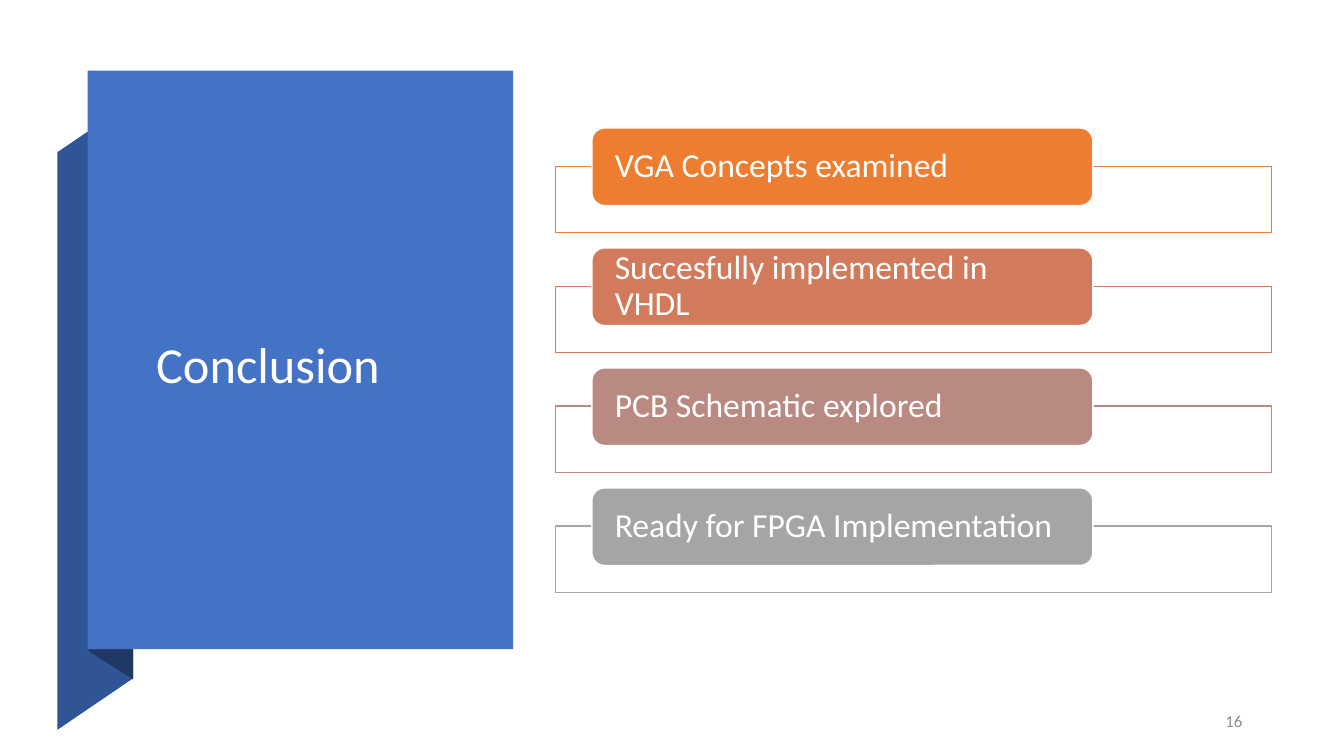
from pptx import Presentation
from pptx import util as u
from pptx.dml.color import RGBColor
from pptx.enum import shapes, text

THEME = {
    "font": "Calibri",
    "white": "FFFFFF", "panel": "4472C4", "ribbon": "2F5597", "fold": "203864",
    "number": "8C8C8C",
    "title_size": 36, "item_size": 24, "number_size": 12,
}
ITEMS = [
    ("VGA Concepts examined", "ED7D31"),
    ("Succesfully implemented in VHDL", "D17B5C"),
    ("PCB Schematic explored", "B98A82"),
    ("Ready for FPGA Implementation", "A5A5A5"),
]


def paint(sp, fill, line=None):
    """Give a shape a solid fill, an optional 1 pt outline and no shadow."""
    sp.shadow.inherit = False
    sp.fill.solid()
    sp.fill.fore_color.rgb = RGBColor.from_string(fill)
    if line:
        sp.line.color.rgb = RGBColor.from_string(line)
        sp.line.width = u.Pt(1)
    else:
        sp.line.fill.background()


def write(sp, words, *, size, color=THEME["white"], align=text.PP_ALIGN.LEFT,
          spacing=1.0, inset=0.1, inset_y=0.05):
    """Put one vertically centred paragraph into a shape."""
    tf = sp.text_frame
    tf.word_wrap = True
    tf.vertical_anchor = text.MSO_ANCHOR.MIDDLE
    tf.margin_left = tf.margin_right = u.Inches(inset)
    tf.margin_top = tf.margin_bottom = u.Inches(inset_y)
    p = tf.paragraphs[0]
    p.alignment = align
    p.line_spacing = spacing
    r = p.add_run()
    r.text = words
    r.font.name = THEME["font"]
    r.font.size = u.Pt(size)
    r.font.color.rgb = RGBColor.from_string(color)


prs = Presentation()
prs.slide_width, prs.slide_height = u.Inches(13.33), u.Inches(7.5)
s = prs.slides.add_slide(prs.slide_layouts[6])

# Folded ribbon behind the title panel
ribbon = [(0.57, 7.24), (1.32, 6.73), (1.32, 1), (0.57, 1.51)]
fold = [(0.88, 6.46), (1.32, 6.74), (1.32, 0.99), (0.88, 0.7)]
for points, color in ((ribbon, THEME["ribbon"]), (fold, THEME["fold"])):
    corners = [(u.Inches(x), u.Inches(y)) for x, y in points]
    outline = s.shapes.build_freeform(*corners[0])
    outline.add_line_segments(corners[1:], close=True)
    paint(outline.convert_to_shape(), color)

panel = s.shapes.add_shape(shapes.MSO_SHAPE.RECTANGLE, u.Inches(0.87),
                           u.Inches(0.7), u.Inches(4.22), u.Inches(5.74))
paint(panel, THEME["panel"])
title = s.shapes.add_textbox(u.Inches(1.45), u.Inches(1.67),
                             u.Inches(3.01), u.Inches(3.94))
write(title, "Conclusion", size=THEME["title_size"], spacing=0.9)

# Conclusions: an outlined box with a label over its top edge
for i, (words, color) in enumerate(ITEMS):
    top = 1.27 + i * 1.19
    box = s.shapes.add_shape(shapes.MSO_SHAPE.RECTANGLE, u.Inches(5.51),
                             u.Inches(top + 0.38), u.Inches(7.1), u.Inches(0.66))
    paint(box, THEME["white"], color)
    label = s.shapes.add_shape(shapes.MSO_SHAPE.ROUNDED_RECTANGLE, u.Inches(5.87),
                               u.Inches(top), u.Inches(4.97), u.Inches(0.77))
    paint(label, color, THEME["white"])
    write(label, words, size=THEME["item_size"], spacing=0.9,
          inset=0.19, inset_y=0)

number = s.shapes.add_textbox(u.Inches(9.42), u.Inches(6.95),
                              u.Inches(3), u.Inches(0.4))
write(number, "16", size=THEME["number_size"], color=THEME["number"],
      align=text.PP_ALIGN.RIGHT)

prs.save("out.pptx")
